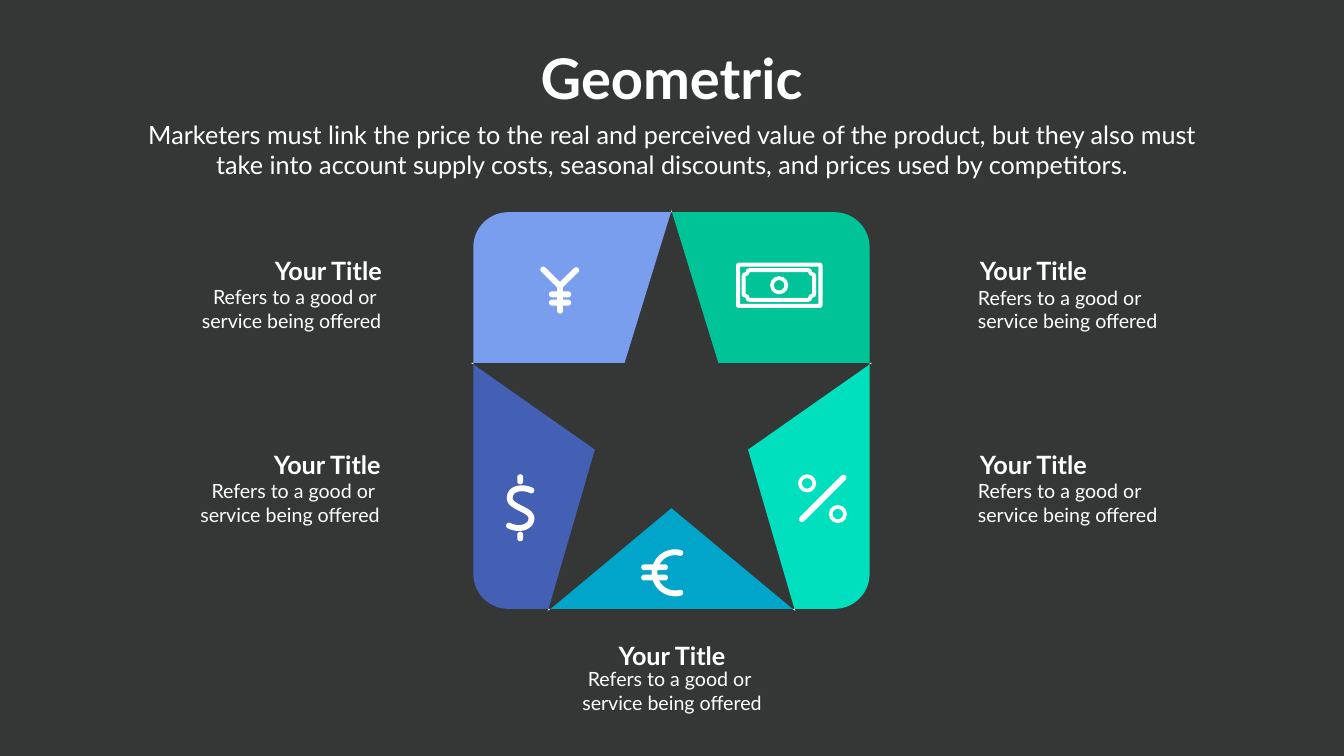
from math import cos, sin, atan2, radians, pi
from pptx import Presentation
from pptx.util import Pt
from pptx.dml.color import RGBColor as Rgb
from pptx.enum.shapes import MSO_SHAPE as Kind
from pptx.enum.text import PP_ALIGN as Align

HUE = {"back": "353737", "text": "FEFFFF", "white": "FFFFFF", "sky": "799EEE",
       "navy": "4460B4", "mint": "00DFBE", "blue": "00A5C9", "green": "00C497"}
FONT = "Lato"
WIDE, HIGH = 1919.5, 1080
MID = 959
LEFT, TOP, BASE, BEND = 676, 303.1, 869.8, 50
PEN = 8.4

HEAD = "Geometric "
LEAD = ("Marketers must link the price to the real and perceived value of the product, "
        "but they also must take into account supply costs, seasonal discounts, "
        "and prices used by competitors.")
NAME = "Your Title"
NOTE = ["Refers to a good or", "service being offered"]
ENDED = ["Refers to a good or ", "service being offered"]
CARDS = [
    (1392.5, 361.4, 1389.6, 404.6, Align.LEFT, NOTE),
    (369.4, 361.4, 269.3, 403.9, Align.RIGHT, ENDED),
    (1392.5, 638.6, 1389.6, 681.1, Align.LEFT, NOTE),
    (367.9, 637.9, 267.1, 681.1, Align.RIGHT, ENDED),
    (868.3, 910.8, 818.6, 949.7, Align.CENTER, ENDED),
]
BARS = [
    ((776, 385.1), (800, 409)), ((823, 386), (799.2, 409)),
    ((799.9, 409.6), (799.9, 443.8)),
    ((788.3, 420.5), (811.6, 420.5)), ((788.3, 432.4), (811.6, 432.4)),
    ((743, 681.7), (743, 687.7)), ((743, 763.8), (743, 769.1)),
    ((920, 810.4), (949.8, 810.4)), ((920, 825.1), (949.8, 825.1)),
    ((1145.4, 741.7), (1204.7, 682.4)),
]
SNAKE = [(758.9, 700.6), (749, 696), (739, 697), (733, 701),
         (729.5, 703.5), (728, 708), (728, 712),
         (728, 718), (735, 722), (743, 726),
         (751.5, 730), (759, 734), (759, 740),
         (759, 744.5), (757, 749), (753, 751),
         (746.5, 755.5), (736.5, 755.5), (727, 751)]
RINGS = [(1112.8, 407.5), (1152.7, 690.5), (1196.6, 734.4)]
RING = 26
BILL = (1051.2, 375.1, 1174.7, 440)
TRIM = (1059.1, 383, 1165.7, 431.3)
EDGE = 5.8
STEPS = [(0, 11.5), (1.5, 7.2), (5.8, 5.8), (7.2, 1.5), (11.5, 0)]
NOTCH = [(0, 5.8), (4.1, 4.1), (5.8, 0)]

deck = Presentation()
deck.slide_width, deck.slide_height = Pt(WIDE), Pt(HIGH)
slide = deck.slides.add_slide(deck.slide_layouts[6])
slide.background.fill.solid()
slide.background.fill.fore_color.rgb = Rgb.from_string(HUE["back"])


def paint(shape, hue):
    shape.shadow.inherit = False
    shape.fill.solid()
    shape.fill.fore_color.rgb = Rgb.from_string(HUE[hue])
    shape.line.fill.background()


def draw(hue, *loops):
    pen = None
    for loop in loops:
        dots = [(Pt(x), Pt(y)) for x, y in loop]
        if pen is None:
            pen = slide.shapes.build_freeform(*dots[0])
        else:
            pen.move_to(*dots[0])
        pen.add_line_segments(dots[1:], close=True)
    paint(pen.convert_to_shape(), hue)


def arc(x, y, size, start, stop, count=14):
    turns = [radians(start + (stop - start) * i / count) for i in range(count + 1)]
    return [(x + size * cos(t), y + size * sin(t)) for t in turns]


def flip(dots):
    return [(2 * MID - x, y) for x, y in dots]


def curve(dots, count=8):
    out = [dots[0]]
    for i in range(0, len(dots) - 1, 3):
        part = dots[i:i + 4]
        for step in range(1, count + 1):
            t = step / count
            mix = ((1 - t) ** 3, 3 * t * (1 - t) ** 2, 3 * t * t * (1 - t), t ** 3)
            out.append(tuple(sum(m * p[k] for m, p in zip(mix, part)) for k in (0, 1)))
    return out


def side(dots):
    out = []
    for i, (x, y) in enumerate(dots):
        a, b = dots[max(i - 1, 0)], dots[min(i + 1, len(dots) - 1)]
        turn = atan2(b[1] - a[1], b[0] - a[0]) - pi / 2
        out.append((x + PEN / 2 * cos(turn), y + PEN / 2 * sin(turn)))
    turn = turn * 180 / pi
    return out + arc(*dots[-1], PEN / 2, turn, turn + 180, 8)


def stroke(dots):
    draw("white", side(dots) + side(dots[::-1]))


def frame(box, cut):
    l, t, r, b = box
    back = cut[::-1]
    return ([(l + x, t + y) for x, y in cut] + [(r - x, t + y) for x, y in back]
            + [(r - x, b - y) for x, y in cut] + [(l + x, b - y) for x, y in back])


def inset(box):
    l, t, r, b = box
    return l + EDGE, t + EDGE, r - EDGE, b - EDGE


def write(lines, x, y, w, h, size=28, bold=False, align=Align.CENTER):
    frame = slide.shapes.add_textbox(Pt(x), Pt(y), Pt(w), Pt(h)).text_frame
    frame.word_wrap = True
    for i, line in enumerate(lines):
        para = frame.add_paragraph() if i else frame.paragraphs[0]
        para.alignment = align
        run = para.add_run()
        run.text = line
        run.font.name, run.font.size, run.font.bold = FONT, Pt(size), bold
        run.font.color.rgb = Rgb.from_string(HUE["text"])


upper = [(958.3, TOP), *arc(LEFT + BEND, TOP + BEND, BEND, 270, 180),
         (LEFT, 518.4), (892, 518.4)]
lower = [(LEFT, 520.6), *arc(LEFT + BEND, BASE - BEND, BEND, 180, 90),
         (783.4, BASE), (849.6, 642.3)]
draw("sky", upper)
draw("navy", lower)
draw("mint", flip(lower))
draw("blue", [(786.5, BASE), (1132, BASE), (MID, 726)])
draw("green", flip(upper))

for tip in ([(782, 872.6), (786.5, BASE), (783.4, BASE)],
            [(672.5, 518.4), (LEFT, 520.6), (LEFT, 518.4)]):
    draw("white", tip)
    draw("white", flip(tip))
draw("white", [(MID, 300.2), (958.3, TOP), (959.8, TOP)])

for bar in BARS:
    stroke(bar)
stroke(curve(SNAKE))
stroke(arc(964.1, 818.3, 29.4, 285, 75, 30))

soft = [(4 - 4 * cos(radians(a)), 4 - 4 * sin(radians(a))) for a in range(0, 91, 30)]
draw("white", frame(BILL, soft), frame(inset(BILL), [(0, 0)]))
draw("white", frame(TRIM, STEPS), frame(inset(TRIM), NOTCH))
for x, y in RINGS:
    ring = slide.shapes.add_shape(Kind.DONUT, Pt(x - RING / 2), Pt(y - RING / 2),
                                  Pt(RING), Pt(RING))
    ring.adjustments[0] = 0.21
    paint(ring, "white")

write([HEAD], 759.6, 59, 399.6, 104.4, size=80, bold=True)
write([LEAD], 193, 166.3, 1533.6, 94.3, size=36)
for x, y, left, top, align, note in CARDS:
    write(note, left, top, 282.2, 72.7, align=align)
    write([NAME], x, y, 182.9, 36.7, size=36, bold=True, align=align)

deck.save("out.pptx")
